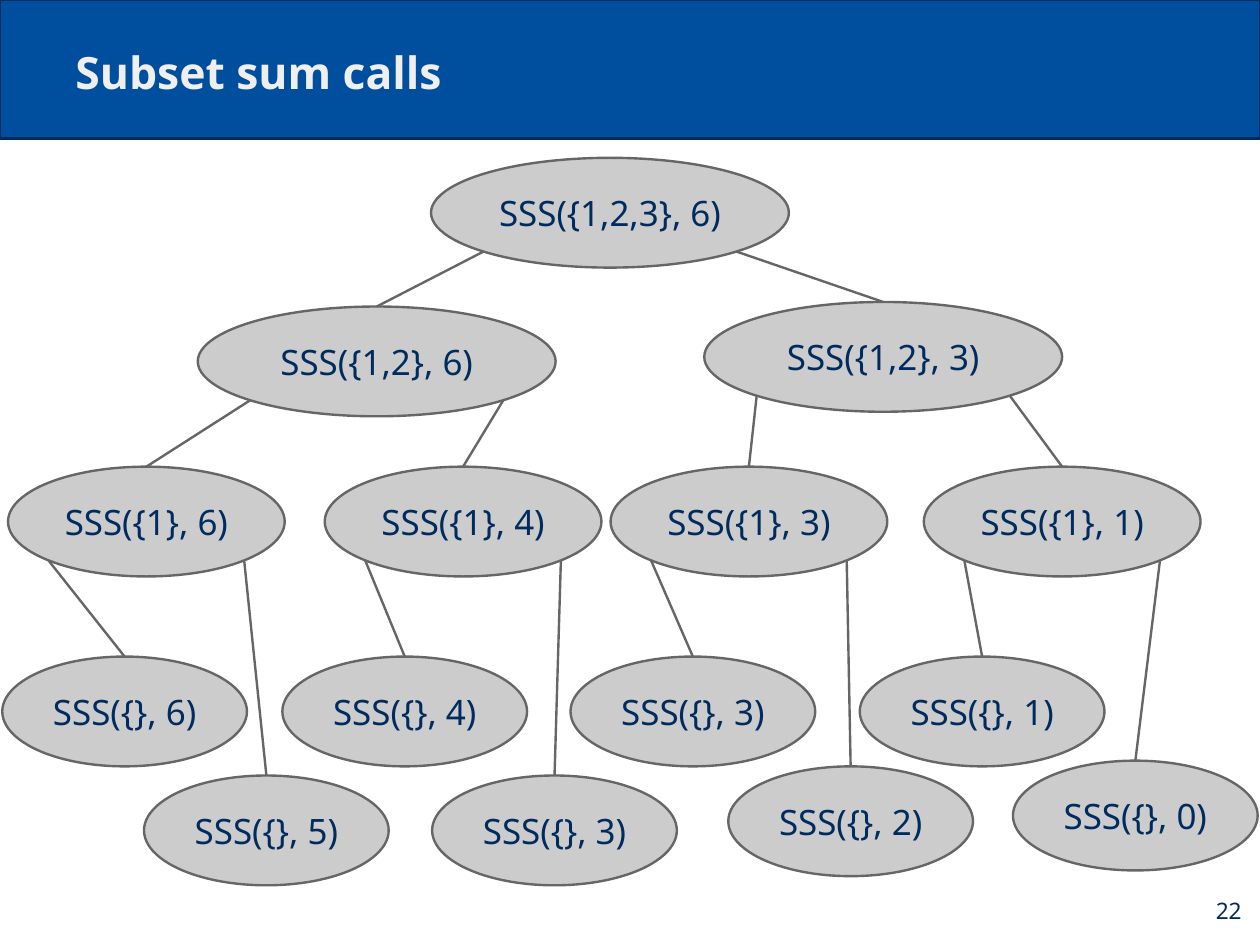
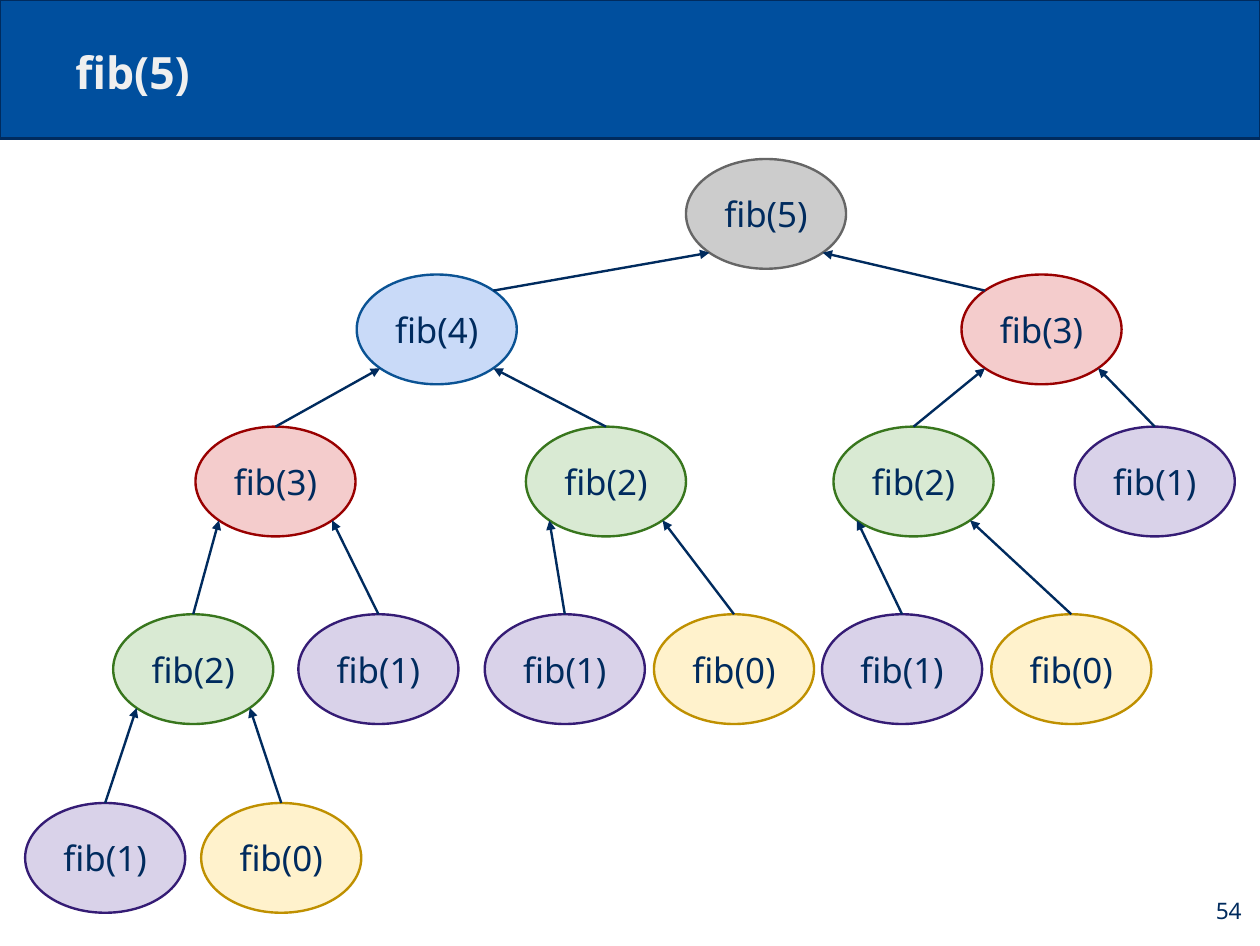
from lxml.etree import SubElement
from pptx import Presentation
from pptx.dml.color import RGBColor
from pptx.enum.shapes import MSO_CONNECTOR, MSO_SHAPE
from pptx.enum.text import MSO_ANCHOR as Anchor, PP_ALIGN as Align
from pptx.oxml.ns import qn
from pptx.util import Inches, Pt

WHITE = RGBColor(0xFF, 0xFF, 0xFF)
NAVY = RGBColor(0x00, 0x2B, 0x5E)
BAND_BLUE = RGBColor(0x00, 0x4F, 0x9E)
TITLE_GRAY = RGBColor(0xEF, 0xEF, 0xEF)
GRAY, DARK_GRAY = RGBColor(0xCC, 0xCC, 0xCC), RGBColor(0x66, 0x66, 0x66)
BLUE, DARK_BLUE = RGBColor(0xC9, 0xDA, 0xF8), RGBColor(0x0B, 0x53, 0x94)
RED, DARK_RED = RGBColor(0xF4, 0xCC, 0xCC), RGBColor(0x99, 0x00, 0x00)
GREEN, DARK_GREEN = RGBColor(0xD9, 0xEA, 0xD3), RGBColor(0x38, 0x76, 0x1D)
PURPLE, DARK_PURPLE = RGBColor(0xD9, 0xD2, 0xE9), RGBColor(0x35, 0x1C, 0x75)
YELLOW, DARK_YELLOW = RGBColor(0xFF, 0xF2, 0xCC), RGBColor(0xBF, 0x90, 0x00)

SLIDE_W, SLIDE_H = 11.02, 8.27
NODE_H = 0.96

# Connection sites of an ellipse: index and position as parts of its size
DIAGONAL = 0.5 ** 0.5 / 2
TOP = (0, 0.5, 0)
TOP_LEFT = (1, 0.5 - DIAGONAL, 0.5 - DIAGONAL)
BOTTOM_LEFT = (3, 0.5 - DIAGONAL, 0.5 + DIAGONAL)
BOTTOM_RIGHT = (5, 0.5 + DIAGONAL, 0.5 + DIAGONAL)
TOP_RIGHT = (7, 0.5 + DIAGONAL, 0.5 - DIAGONAL)
PARENT_SITES = (BOTTOM_LEFT, BOTTOM_RIGHT)


class Deck:
    """Holds the shared style and the current slide."""

    FONT = "Noto Sans"
    LINE_WIDTH = Pt(1.5)
    FRAME = dict.fromkeys(
        ("margin_left", "margin_top", "margin_right", "margin_bottom"), Inches(0.11))
    TITLE = {"size": Pt(28), "bold": True}
    NODE = {"size": Pt(22)}
    NUMBER = {"size": Pt(14.3)}

    def __init__(self):
        self.prs = Presentation()
        self.prs.slide_width, self.prs.slide_height = Inches(SLIDE_W), Inches(SLIDE_H)
        self.slide = None

    def put_text(self, shape, text, font, color=NAVY, align=Align.CENTER,
                 anchor=Anchor.MIDDLE, wrap=True):
        frame = shape.text_frame
        values = {**self.FRAME, "vertical_anchor": anchor, "word_wrap": wrap}
        for name, value in values.items():
            setattr(frame, name, value)
        paragraph = frame.paragraphs[0]
        paragraph.alignment = align
        run = paragraph.add_run()
        run.text = text
        for name, value in {"name": self.FONT, **font}.items():
            setattr(run.font, name, value)
        run.font.color.rgb = color

    def shape(self, kind, left, top, width, height, fill, outline):
        shape = self.slide.shapes.add_shape(
            kind, Inches(left), Inches(top), Inches(width), Inches(height))
        shape.shadow.inherit = False
        shape.fill.solid()
        shape.fill.fore_color.rgb = fill
        shape.line.color.rgb = outline
        shape.line.width = self.LINE_WIDTH
        return shape

    def new_slide(self, title_text, number):
        self.slide = self.prs.slides.add_slide(self.prs.slide_layouts[5])
        self.slide.background.fill.solid()
        self.slide.background.fill.fore_color.rgb = WHITE
        title = self.slide.shapes.title
        band = self.shape(MSO_SHAPE.RECTANGLE, 0, 0, SLIDE_W, 1.21, BAND_BLUE, NAVY)
        title._element.addprevious(band._element)  # the band lies behind the title

        place = {"left": 0.55, "top": 0.24, "width": 9.92, "height": 0.73}
        for name, value in place.items():
            setattr(title, name, Inches(value))
        self.put_text(title, title_text, self.TITLE, TITLE_GRAY, Align.LEFT,
                      Anchor.BOTTOM)

        page = self.slide.shapes.add_textbox(
            Inches(10.31), Inches(7.64), Inches(0.66), Inches(0.63))
        self.put_text(page, str(number), self.NUMBER, align=Align.RIGHT)

    def node(self, label, left, top, width, fill, outline):
        ellipse = self.shape(MSO_SHAPE.OVAL, left, top, width, NODE_H, fill, outline)
        self.put_text(ellipse, label, self.NODE, wrap=False)
        return ellipse

    def edge(self, child, child_site, parent, parent_site, color, arrow):
        ends = (("a:stCxn", child, child_site), ("a:endCxn", parent, parent_site))
        points = [int(start + part * size)
                  for _, node, (_, across, down) in ends
                  for start, part, size in ((node.left, across, node.width),
                                            (node.top, down, node.height))]
        line = self.slide.shapes.add_connector(MSO_CONNECTOR.STRAIGHT, *points)
        line.line.color.rgb = color
        line.line.width = self.LINE_WIDTH
        # Glue both ends to the nodes
        glue = line._element.find(".//" + qn("p:cNvCxnSpPr"))
        for tag, node, (site, _, _) in ends:
            SubElement(glue, qn(tag), id=str(node.shape_id), idx=str(site))
        properties = line._element.spPr
        if arrow:
            SubElement(properties.find(qn("a:ln")), qn("a:tailEnd"), type="triangle")
        SubElement(properties, qn("a:effectLst"))

    def tree(self, rows, colors, edge_color, arrow=False, child_sites=None):
        """Draw rows of nodes; node i hangs on node i // 2 of the row above."""
        parents = []
        for depth, (width, row) in enumerate(rows):
            nodes = [self.node(label, left, top, width, *colors(label))
                     for label, left, top in row]
            sites = (child_sites or {}).get(depth, (TOP, TOP))
            if parents:
                for i, child in enumerate(nodes):
                    self.edge(child, sites[i % 2], parents[i // 2],
                              PARENT_SITES[i % 2], edge_color, arrow)
            parents = nodes


# Subset sum: node width and (label, left, top) for each row
SUBSET_ROWS = [
    (3.13, [("SSS({1,2,3}, 6)", 3.77, 1.38)]),
    (3.13, [("SSS({1,2}, 6)", 1.73, 2.68), ("SSS({1,2}, 3)", 6.16, 2.64)]),
    (2.42, [("SSS({1}, 6)", 0.07, 4.08), ("SSS({1}, 4)", 2.84, 4.08),
            ("SSS({1}, 3)", 5.34, 4.08), ("SSS({1}, 1)", 8.08, 4.08)]),
    (2.14, [("SSS({}, 6)", 0.02, 5.74), ("SSS({}, 5)", 1.26, 6.78),
            ("SSS({}, 4)", 2.47, 5.74), ("SSS({}, 3)", 3.78, 6.78),
            ("SSS({}, 3)", 4.99, 5.74), ("SSS({}, 2)", 6.37, 6.7),
            ("SSS({}, 1)", 7.52, 5.74), ("SSS({}, 0)", 8.86, 6.65)]),
]

# Fibonacci: top and (n, left) for each row; equal calls share a colour
FIB_WIDTH = 1.4
FIB_LEVELS = [
    (1.39, [(5, 6)]),
    (2.4, [(4, 3.12), (3, 8.41)]),
    (3.73, [(3, 1.71), (2, 4.6), (2, 7.29), (1, 9.4)]),
    (5.37, [(2, 0.99), (1, 2.61), (1, 4.24), (0, 5.72), (1, 7.19), (0, 8.67)]),
    (7.02, [(1, 0.22), (0, 1.76)]),
]
FIB_COLORS = {
    "fib(5)": (GRAY, DARK_GRAY),
    "fib(4)": (BLUE, DARK_BLUE),
    "fib(3)": (RED, DARK_RED),
    "fib(2)": (GREEN, DARK_GREEN),
    "fib(1)": (PURPLE, DARK_PURPLE),
    "fib(0)": (YELLOW, DARK_YELLOW),
}


def main():
    deck = Deck()

    # Subset sum call tree
    deck.new_slide("Subset sum calls", 22)
    deck.tree(SUBSET_ROWS, lambda label: (GRAY, DARK_GRAY), DARK_GRAY)

    # Fibonacci call tree, results flow up to the callers
    deck.new_slide("fib(5)", 54)
    fib_rows = [(FIB_WIDTH, [(f"fib({n})", left, top) for n, left in calls])
                for top, calls in FIB_LEVELS]
    deck.tree(fib_rows, FIB_COLORS.get, NAVY, arrow=True,
              child_sites={1: (TOP_RIGHT, TOP_LEFT)})

    deck.prs.save("out.pptx")


if __name__ == "__main__":
    main()
